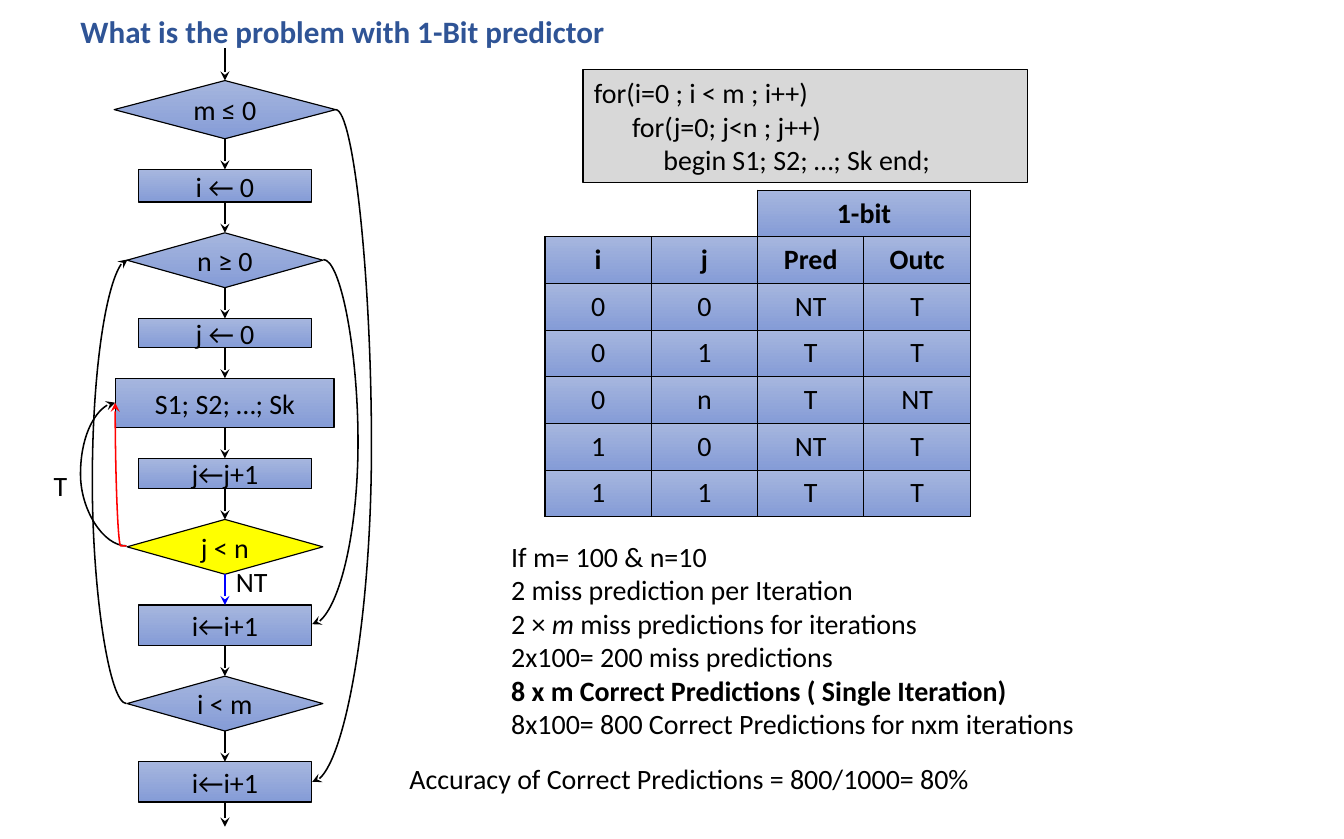
"""Build the slide on the weakness of a 1-bit branch predictor."""
from lxml import etree
from pptx import Presentation
from pptx.dml.color import RGBColor
from pptx.enum.shapes import MSO_CONNECTOR, MSO_SHAPE
from pptx.enum.text import MSO_ANCHOR, PP_ALIGN
from pptx.oxml.ns import qn
from pptx.util import Inches, Pt

RECT, DIAMOND = MSO_SHAPE.RECTANGLE, MSO_SHAPE.DIAMOND
STRAIGHT, CURVE = MSO_CONNECTOR.STRAIGHT, MSO_CONNECTOR.CURVE
LEFT, CENTER, MIDDLE = PP_ALIGN.LEFT, PP_ALIGN.CENTER, MSO_ANCHOR.MIDDLE
BLACK = RGBColor(0x00, 0x00, 0x00)
BLUE = RGBColor(0x00, 0x00, 0xFF)
RED = RGBColor(0xFF, 0x00, 0x00)
YELLOW = RGBColor(0xFF, 0xFF, 0x00)
GREY = RGBColor(0xD8, 0xD8, 0xD8)
TITLE_BLUE = RGBColor(0x2F, 0x54, 0x96)
GRADIENT = (RGBColor(0xA6, 0xB6, 0xDE), RGBColor(0x85, 0x9C, 0xD7))
FONT = "Calibri"
NO_STYLE = "{2D5ABB26-0587-4C30-8999-92F81FD0307C}"

TITLE = "What is the problem with 1-Bit predictor"
CODE = [
    ("for(i=0 ; i < m ; i++)", 0),
    ("for(j=0; j<n ; j++)", 0.34),
    ("begin S1; S2; …; Sk end;", 0.62),
]
FLOW = [
    ("m ≤ 0", DIAMOND, 1.98, 0.52),
    ("i ← 0", RECT, 1.55, 0.29),
    ("n ≥ 0", DIAMOND, 1.75, 0.49),
    ("j ← 0", RECT, 1.55, 0.26),
    ("S1; S2; …; Sk", RECT, 1.95, 0.44),
    ("j←j+1", RECT, 1.55, 0.27),
    ("j < n", DIAMOND, 1.75, 0.49),
    ("i←i+1", RECT, 1.55, 0.36),
    ("i < m", DIAMOND, 1.75, 0.49),
    ("i←i+1", RECT, 1.55, 0.36),
]
BRANCH = "j < n"
FLOW_X, FLOW_TOP, FLOW_BOTTOM = 2.01, 0.72, 7.17
ENTRY_TOP, EXIT_BOTTOM = 0.43, 7.39
JUMPS = [
    (3, 0.98, 2.79, 6.99, 3.32),
    (2.89, 2.32, 2.79, 5.58, 3.2),
    (1.13, 4.88, 1.03, 3.6, 0.72),
    (1.13, 6.29, 1.14, 2.32, 0.82),
]
TAKEN_JUMP = (1.72, 4.19, 0.44, 4.29, 1.72)
PREDICTIONS = [
    ("", "", "1-bit", ""),
    ("i", "j", "Pred", "Outc"),
    ("0", "0", "NT", "T"),
    ("0", "1", "T", "T"),
    ("0", "n", "T", "NT"),
    ("1", "0", "NT", "T"),
    ("1", "1", "T", "T"),
]
TABLE_BOX = (4.87, 1.7, 3.8, 2.92)
HEADER_ROWS = 2
NOTES = [
    [("If m= 100 & n=10", "")],
    [("2 miss prediction per Iteration", "")],
    [("2 × ", ""), ("m", "i"), (" miss predictions for iterations", "")],
    [("2x100= 200 miss predictions", "")],
    [("8 x m Correct Predictions ( Single Iteration)", "b")],
    [("8x100= 800 Correct Predictions for nxm iterations", "")],
]
LABELS = [
    ("T", (0.38, 4.14, 0.39, 0.4)),
    ("NT", (2.01, 5, 0.59, 0.4)),
    ("Accuracy of Correct Predictions = 800/1000= 80%", (3.56, 6.76, 6.32, 0.4)),
]


def style(p, size=18, color=BLACK, bold=False, align=LEFT):
    p.alignment = align
    p.font.name, p.font.size, p.font.bold = FONT, Pt(size), bold
    p.font.color.rgb = color


def paint(fill, color=None):
    if color is not None:
        fill.solid()
        fill.fore_color.rgb = color
        return
    fill.gradient()
    fill.gradient_angle = 270
    for stop, rgb in zip(fill.gradient_stops, GRADIENT):
        stop.color.rgb = rgb


def box(s, kind, place, color=None):
    sp = s.shapes.add_shape(kind, *map(Inches, place))
    sp.shadow.inherit = False
    paint(sp.fill, color)
    sp.line.color.rgb, sp.line.width = BLACK, Pt(0.75)
    sp.text_frame.vertical_anchor = MIDDLE
    return sp


def text_box(s, place):
    tf = s.shapes.add_textbox(*map(Inches, place)).text_frame
    tf.word_wrap = True
    return tf


def paragraphs(tf, count):
    return [tf.paragraphs[0]] + [tf.add_paragraph() for _ in range(count - 1)]


def arrow(s, x1, y1, x2, y2, kind=STRAIGHT, color=BLACK):
    line = s.shapes.add_connector(kind, *map(Inches, (x1, y1, x2, y2)))
    line.line.color.rgb, line.line.width = color, Pt(1)
    etree.SubElement(line.line._get_or_add_ln(), qn("a:tailEnd"), type="stealth")
    etree.SubElement(line._element.spPr, qn("a:effectLst"))
    return line


def jump(s, x1, y1, x2, y2, bend_x, color=BLACK, turn=0):
    line = arrow(s, x1, y1, x2, y2, CURVE, color)
    spPr = line._element.spPr
    adj = round((bend_x - x1) / (x2 - x1) * 100000)
    etree.SubElement(spPr.find(qn("a:prstGeom")).find(qn("a:avLst")),
                     qn("a:gd"), name="adj1", fmla=f"val {adj}")
    if turn:
        spPr.find(qn("a:xfrm")).set("rot", str(turn * 60000))


def flowchart(s):
    gap = (FLOW_BOTTOM - FLOW_TOP - sum(h for *_, h in FLOW)) / (len(FLOW) - 1)
    y, nodes = FLOW_TOP, []
    for text, kind, w, h in FLOW:
        color = YELLOW if text == BRANCH else None
        sp = box(s, kind, (FLOW_X - w / 2, y, w, h), color)
        p = sp.text_frame.paragraphs[0]
        p.text = text
        style(p, align=CENTER)
        nodes.append(sp)
        y += h + gap
    for (text, *_), upper, lower in zip(FLOW, nodes, nodes[1:]):
        line = arrow(s, 0, 0, 1, 1, color=BLUE if text == BRANCH else BLACK)
        line.begin_connect(upper, 2)
        line.end_connect(lower, 0)
    arrow(s, FLOW_X, ENTRY_TOP, FLOW_X, FLOW_TOP)
    arrow(s, FLOW_X, FLOW_BOTTOM, FLOW_X, EXIT_BOTTOM)
    for points in JUMPS:
        jump(s, *points)
    jump(s, *TAKEN_JUMP, color=RED, turn=90)


def border(cell):
    tcPr = cell._tc.get_or_add_tcPr()
    for i, side in enumerate(("a:lnL", "a:lnR", "a:lnT", "a:lnB")):
        ln = etree.Element(qn(side), w=str(Pt(0.75)))
        fill = etree.SubElement(ln, qn("a:solidFill"))
        etree.SubElement(fill, qn("a:srgbClr"), val=str(BLACK))
        tcPr.insert(i, ln)


def prediction_table(s):
    rows, cols = len(PREDICTIONS), len(PREDICTIONS[0])
    x, y, w, h = map(Inches, TABLE_BOX)
    table = s.shapes.add_table(rows, cols, x, y, w, h).table
    table.first_row = table.horz_banding = False
    table._tbl.tblPr.find(qn("a:tableStyleId")).text = NO_STYLE
    table.cell(0, 2).merge(table.cell(0, 3))
    for r, values in enumerate(PREDICTIONS):
        for c, value in enumerate(values):
            cell = table.cell(r, c)
            cell.vertical_anchor = MIDDLE
            p = cell.text_frame.paragraphs[0]
            p.text = value
            style(p, bold=r < HEADER_ROWS, align=CENTER)
            if value or cell.is_spanned:
                paint(cell.fill)
                border(cell)
            else:
                cell.fill.background()


def main():
    prs = Presentation()
    prs.slide_width, prs.slide_height = Inches(12.01), Inches(7.5)
    s = prs.slides.add_slide(prs.slide_layouts[6])

    code = box(s, RECT, (5.21, 0.62, 3.97, 1.01), GREY).text_frame
    for p, (text, indent) in zip(paragraphs(code, len(CODE)), CODE):
        p.text = text
        style(p)
        p._p.get_or_add_pPr().set("marL", str(Inches(indent)))

    flowchart(s)
    prediction_table(s)

    for text, place in LABELS:
        p = text_box(s, place).paragraphs[0]
        p.text = text
        style(p)

    notes = text_box(s, (4.47, 4.77, 6.94, 1.92))
    for p, runs in zip(paragraphs(notes, len(NOTES)), NOTES):
        style(p)
        for text, look in runs:
            r = p.add_run()
            r.text = text
            if look:
                r.font.bold, r.font.italic = look == "b", look == "i"

    p = text_box(s, (0.62, 0.06, 5.91, 0.44)).paragraphs[0]
    p.text = TITLE
    style(p, 20, TITLE_BLUE, True)
    prs.save("out.pptx")


if __name__ == "__main__":
    main()
